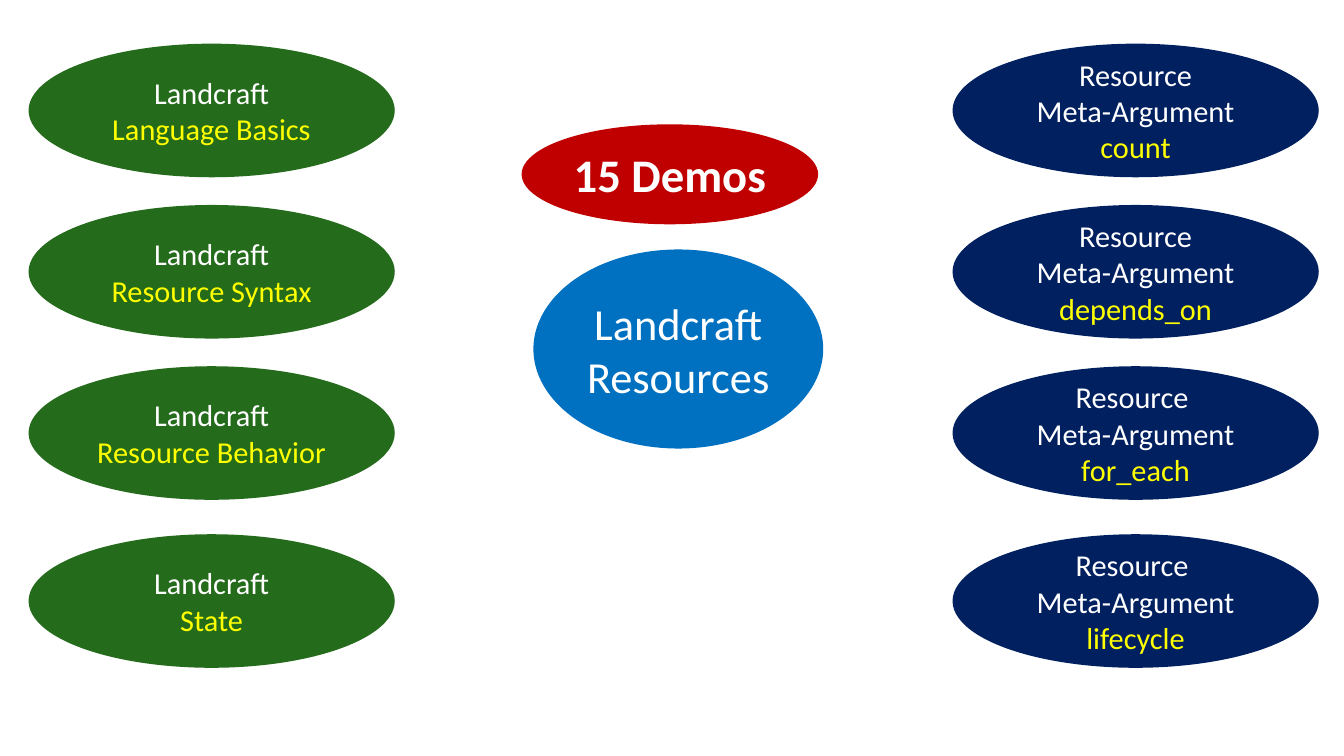
import dataclasses

import pptx
import pptx.dml.color
import pptx.enum.shapes
import pptx.enum.text
import pptx.util

Pt = pptx.util.Pt


@dataclasses.dataclass(frozen=True)
class Theme:
    font: str = "Calibri"
    text: str = "FFFFFF"
    highlight: str = "FFFF00"
    hub: str = "0070C0"
    basics: str = "246B1B"
    meta: str = "002060"
    badge: str = "C00000"
    topic_size: int = 26
    hub_size: int = 38
    badge_size: int = 40


class TopicMap:
    def __init__(self, slide, theme):
        self.slide = slide
        self.theme = theme

    def ellipse(self, frame, fill, lines, size, bold=False, highlight_last=False):
        """Draw a filled ellipse; frame is left, top, width, height in points."""
        shape = self.slide.shapes.add_shape(
            pptx.enum.shapes.MSO_SHAPE.OVAL, *(Pt(length) for length in frame))
        shape.shadow.inherit = False
        shape.fill.solid()
        shape.fill.fore_color.rgb = pptx.dml.color.RGBColor.from_string(fill)
        shape.line.fill.background()
        box = shape.text_frame
        box.word_wrap = True
        box.vertical_anchor = pptx.enum.text.MSO_ANCHOR.MIDDLE
        box.text = "\n".join(lines)
        for para in box.paragraphs:
            para.alignment = pptx.enum.text.PP_ALIGN.CENTER
            for span in para.runs:
                self.style(span.font, size, self.theme.text, bold)
        if highlight_last:
            self.style(box.paragraphs[-1].runs[0].font, size, self.theme.highlight, bold)

    def style(self, font, size, color, bold):
        font.name = self.theme.font
        font.size = Pt(size)
        font.bold = bold
        font.color.rgb = pptx.dml.color.RGBColor.from_string(color)

    def topic_column(self, left, fill, topics):
        """Stack one topic ellipse per row, with the last line highlighted."""
        for top, lines in zip(ROW_TOPS, topics):
            self.ellipse((left, top, TOPIC_WIDTH, TOPIC_HEIGHT), fill, lines,
                         self.theme.topic_size, highlight_last=True)


ROW_TOPS = (37.44, 175.68, 313.92, 457.92)
TOPIC_WIDTH, TOPIC_HEIGHT = 313.92, 114.48

TOOL = "Landcraft"
BASICS = [(TOOL, subject) for subject in
          ("Language Basics", "Resource Syntax", "Resource Behavior", "State")]
META_ARGUMENTS = [
    ("Resource", "Meta-Argument", "count"),
    ("Resource", "Meta-Argument", "depends_on"),
    ("Resource ", "Meta-Argument", "for_each"),
    ("Resource ", "Meta-Argument", "lifecycle"),
]


def main():
    deck = pptx.Presentation()
    deck.slide_width, deck.slide_height = Pt(1152), Pt(648)
    page = deck.slides.add_slide(deck.slide_layouts[6])
    theme = Theme()
    topic_map = TopicMap(page, theme)

    topic_map.ellipse((457.2, 213.84, 248.4, 170.64), theme.hub,
                      (TOOL, "Resources"), theme.hub_size)
    topic_map.topic_column(24.48, theme.basics, BASICS)
    topic_map.topic_column(816.48, theme.meta, META_ARGUMENTS)
    topic_map.ellipse((447.12, 106.56, 254.16, 85.68), theme.badge,
                      ("15 Demos",), theme.badge_size, bold=True)
    deck.save("out.pptx")


if __name__ == "__main__":
    main()
